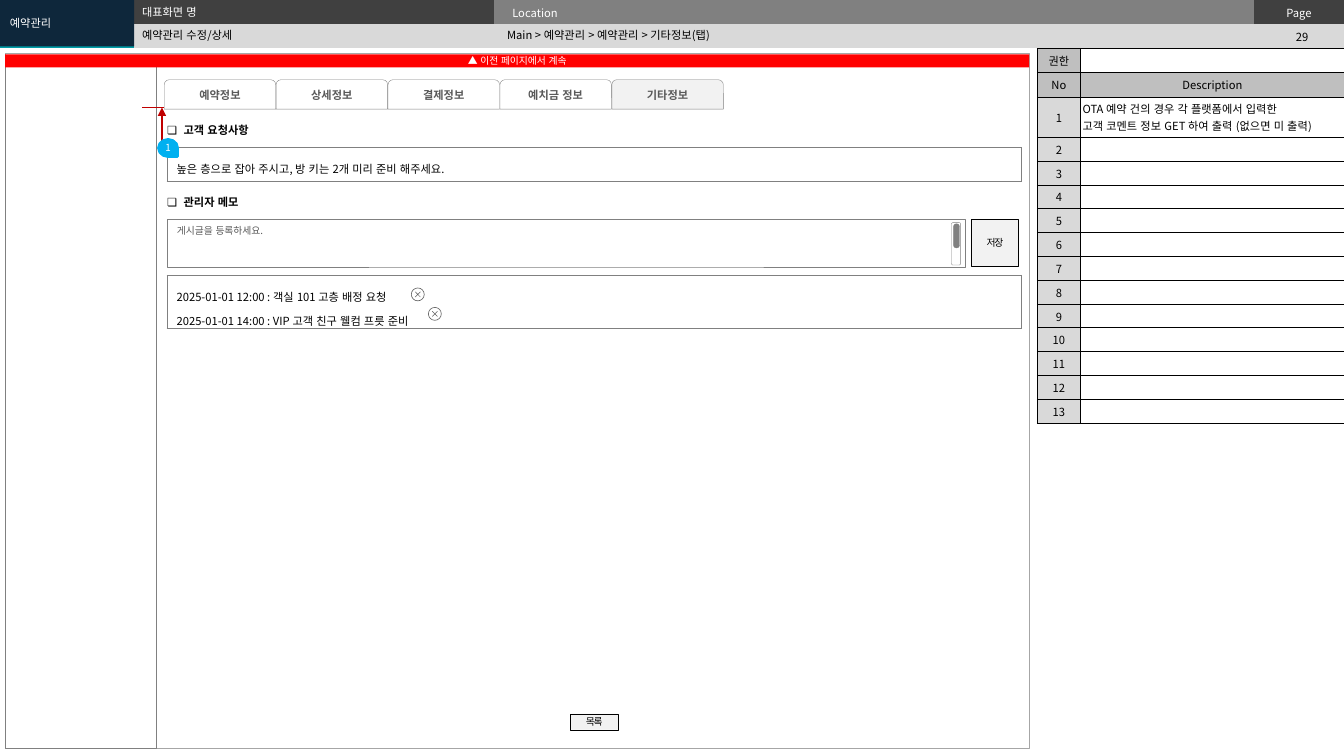
import math

import lxml.etree
import pptx
import pptx.dml.color
import pptx.enum.lang
import pptx.enum.shapes
import pptx.enum.text
import pptx.oxml.ns
import pptx.util

Cm, Pt = pptx.util.Cm, pptx.util.Pt
SHAPE = pptx.enum.shapes.MSO_SHAPE
LEFT, CENTER = pptx.enum.text.PP_ALIGN.LEFT, pptx.enum.text.PP_ALIGN.CENTER
TOP, MIDDLE = pptx.enum.text.MSO_ANCHOR.TOP, pptx.enum.text.MSO_ANCHOR.MIDDLE
KOREAN = pptx.enum.lang.MSO_LANGUAGE_ID.KOREAN
qn = pptx.oxml.ns.qn

FONT = "Noto Sans CJK KR"
COLORS = {
    "black": "000000", "white": "FFFFFF", "navy": "0E273B", "teal": "009CA6",
    "charcoal": "404040", "text": "595959", "icon": "5F5F5F", "gray": "808080",
    "frame": "A6A6A6", "head": "BFBFBF", "number": "D9D9D9", "light": "F2F2F2",
    "banner": "FF0000", "arrow": "C00000", "marker": "00B0F0",
}

# Content; places are left, top, width, height in cm
HEADER = [["", "", "Location", "Page"], [""] * 4]
HEADER_FILLS = [["teal", "charcoal", "gray", "charcoal"], ["teal"] + ["number"] * 3]
HEADER_TEXTS = [
    ("예약관리 수정/상세", (3.33, 0.61, 9.22, 0.56), {"anchor": MIDDLE}),
    ("Main > 예약관리 > 예약관리 > 기타정보(탭)", (12.53, 0.58, 18.75, 0.61), {"anchor": MIDDLE}),
    ("대표화면 명", (3.33, 0, 9.19, 0.56), {"color": "white"}),
    ("29", (31.71, 0.62, 2.21, 0.61), {"align": CENTER, "anchor": MIDDLE}),
]
MENU = "예약관리"
BANNER = "▲ 이전 페이지에서 계속"
TABS = ["예약정보", "상세정보", "결제정보", "예치금 정보", "기타정보"]
SECTIONS = [("❏\t고객 요청사항", 2.97), ("❏\t관리자 메모", 4.8)]
REQUEST = "높은 층으로 잡아 주시고, 방 키는 2개 미리 준비 해주세요."
MEMOS = "2025-01-01 12:00 : 객실 101 고층 배정 요청\n2025-01-01 14:00 : VIP 고객 친구 웰컴 프릇 준비"
MEMO_HINT = "게시글을 등록하세요."
BUTTONS = [("저장", (24.48, 5.52, 1.19, 1.2)), ("목록", (14.38, 17.99, 1.19, 0.4))]
DELETE_ICONS = [(10.53, 7.42), (10.96, 7.91)]
DESCRIPTION = ["OTA 예약 건의 경우 각 플랫폼에서 입력한\n고객 코멘트 정보 GET 하여 출력 (없으면 미 출력)"]
ROW_COUNT = 13

prs = pptx.Presentation()
prs.slide_width, prs.slide_height = Cm(33.87), Cm(19.05)
slide = prs.slides.add_slide(prs.slide_layouts[6])
shapes = slide.shapes


def rgb(name):
    return pptx.dml.color.RGBColor.from_string(COLORS[name])


def paint(sp, fill=None, line=None, width=0.25):
    if fill:
        sp.fill.solid()
        sp.fill.fore_color.rgb = rgb(fill)
    else:
        sp.fill.background()
    if line:
        sp.line.color.rgb = rgb(line)
        sp.line.width = Pt(width)
    else:
        sp.line.fill.background()
    sp.shadow.inherit = False


def write(tf, text, size=8, color="black", bold=False, align=LEFT, spacing=None, tracking=None):
    for i, line in enumerate(text.split("\n")):
        p = tf.add_paragraph() if i else tf.paragraphs[0]
        for key, value in {"alignment": align, "line_spacing": spacing}.items():
            setattr(p, key, value)
        if not line:
            lxml.etree.SubElement(p._p, qn("a:endParaRPr"), sz=str(size * 100))
            continue
        if "\t" in line:
            tabs = lxml.etree.SubElement(p._p.get_or_add_pPr(), qn("a:tabLst"))
            lxml.etree.SubElement(tabs, qn("a:tab"), pos=str(Cm(0.42)), algn="l")
        r = p.add_run()
        r.text = line
        for key, value in {"name": FONT, "size": Pt(size), "bold": bold,
                           "language_id": KOREAN}.items():
            setattr(r.font, key, value)
        r.font.color.rgb = rgb(color)
        rPr = r._r.get_or_add_rPr()
        lxml.etree.SubElement(rPr, qn("a:ea"), typeface=FONT)
        if tracking:
            rPr.set("spc", str(tracking))


def fill_frame(tf, text, anchor=TOP, inset=(0.25, 0.13), **style):
    x, y = map(Cm, inset)
    for key, value in {"word_wrap": True, "vertical_anchor": anchor, "margin_left": x,
                       "margin_right": x, "margin_top": y, "margin_bottom": y}.items():
        setattr(tf, key, value)
    write(tf, text, **style)


def add_text(text, place, **style):
    fill_frame(shapes.add_textbox(*map(Cm, place)).text_frame, text, **style)


def add_box(place, kind=SHAPE.RECTANGLE, text="", fill=None, line=None, width=0.25, **style):
    sp = shapes.add_shape(kind, *map(Cm, place))
    paint(sp, fill, line, width)
    if text:
        fill_frame(sp.text_frame, text, **style)
    return sp


def add_grid(left, top, columns, heights):
    table = shapes.add_table(len(heights), len(columns), Cm(left), Cm(top),
                             Cm(sum(columns)), Cm(sum(heights))).table
    table.first_row = table.horz_banding = False
    for column, width in zip(table.columns, columns):
        column.width = Cm(width)
    for row, height in zip(table.rows, heights):
        row.height = Cm(height)
    return table


def set_cell(cell, text, fill, border=None, width=0.25, inset=(0.25, 0.13), anchor=TOP, **style):
    x, y = map(Cm, inset)
    for key, value in {"margin_left": x, "margin_right": x, "margin_top": y,
                       "margin_bottom": y, "vertical_anchor": anchor}.items():
        setattr(cell, key, value)
    tcPr = cell._tc.get_or_add_tcPr()
    for side in ("lnL", "lnR", "lnT", "lnB"):
        ln = lxml.etree.SubElement(tcPr, qn("a:" + side), w=str(Pt(width)))
        if border:
            solid = lxml.etree.SubElement(ln, qn("a:solidFill"))
            lxml.etree.SubElement(solid, qn("a:srgbClr"), val=COLORS[border])
        else:
            lxml.etree.SubElement(ln, qn("a:noFill"))
    cell.fill.solid()
    cell.fill.fore_color.rgb = rgb(fill)
    write(cell.text_frame, text, **style)


def add_line(start, end, arrow=False):
    c = shapes.add_connector(pptx.enum.shapes.MSO_CONNECTOR.STRAIGHT, *map(Cm, start + end))
    c.line.color.rgb = rgb("arrow")
    c.line.width = Pt(1)
    if arrow:
        lxml.etree.SubElement(c.line._get_or_add_ln(), qn("a:tailEnd"), type="triangle")
    lxml.etree.SubElement(c._element.spPr, qn("a:effectLst"))


def add_delete_icon(cx, cy, radius=0.17):
    """Draw a thin ring around a cross as one outline."""
    def circle(r):
        return [(r * math.cos(a * math.pi / 8), r * math.sin(a * math.pi / 8)) for a in range(16)]

    arm, half = 0.55, 0.04
    cross = []
    for k in range(4):
        c, s = math.cos(math.pi * (k / 2 + 0.25)), math.sin(math.pi * (k / 2 + 0.25))
        cross += [(x * c - y * s, x * s + y * c) for x, y in ((arm, -half), (arm, half), (half, half))]
    builder = None
    for contour in (circle(1), circle(0.91), cross):
        points = [(Cm(cx + radius * x), Cm(cy + radius * y)) for x, y in contour]
        if builder is None:
            builder = shapes.build_freeform(*points[0])
        else:
            builder.move_to(*points[0])
        builder.add_line_segments(points[1:], close=True)
    paint(builder.convert_to_shape(), "icon")


# Page header
header = add_grid(0, 0, (3.38, 9.07, 19.15, 2.27), (0.6, 0.6))
for row, (texts, fills) in enumerate(zip(HEADER, HEADER_FILLS)):
    for col, (text, fill) in enumerate(zip(texts, fills)):
        set_cell(header.cell(row, col), text, fill, inset=(0.46, 0.1), color="white",
                 align=CENTER if text == "Page" else LEFT)
header.cell(0, 0).merge(header.cell(1, 0))
add_box((0.13, 1.35, 25.81, 17.5), line="frame")
for text, place, style in HEADER_TEXTS:
    add_text(text, place, **style)
add_box((0, 0, 3.38, 1.17), text=MENU, fill="navy", color="white", anchor=MIDDLE)
add_box((0.13, 1.4, 3.81, 17.45), line="gray")

# Description table
grid = add_grid(26.14, 1.22, (1.09, 6.65), [0.61, 0.61, 1.02] + [0.6] * (ROW_COUNT - 1))
rows = [("권한", "", "head", "white"), ("No", "Description", "head", "head")]
for n in range(ROW_COUNT):
    rows.append((str(n + 1), DESCRIPTION[n] if n < len(DESCRIPTION) else "", "number", "white"))
for row, (label, text, label_fill, text_fill) in enumerate(rows):
    edge = {"border": "black", "width": 0.5, "inset": (0.05, 0.1)}
    set_cell(grid.cell(row, 0), label, label_fill, align=CENTER, anchor=MIDDLE, **edge)
    set_cell(grid.cell(row, 1), text, text_fill, align=CENTER if row == 1 else LEFT, **edge)

# Screen body
add_box((0.13, 1.37, 25.81, 0.33), text=BANNER, fill="banner", size=7, color="white",
        align=CENTER, anchor=MIDDLE)
for text, top in SECTIONS:
    add_text(text, (3.96, top, 8.56, 0.61), bold=True)
for text, top, height, anchor in ((REQUEST, 3.71, 0.86, TOP), (MEMOS, 6.93, 1.35, MIDDLE)):
    set_cell(add_grid(4.2, top, [21.53], [height]).cell(0, 0), text, "white", "gray",
             anchor=anchor, spacing=1.5)
add_box((4.21, 5.53, 20.12, 1.2), text=MEMO_HINT, line="gray", size=7, color="text")
for text, place in BUTTONS:
    add_box(place, text=text, fill="light", line="black", size=7, align=CENTER,
            anchor=MIDDLE, inset=(0, 0), tracking=-90)
add_box((23.98, 5.61, 0.23, 1.07), SHAPE.ROUNDED_RECTANGLE, line="gray")
thumb = add_box((24.03, 5.64, 0.15, 0.61), SHAPE.ROUNDED_RECTANGLE, fill="gray", line="gray")
thumb.adjustments[0] = 0.5
for center in DELETE_ICONS:
    add_delete_icon(*center)

# Callout and tabs
add_line((4.57, 2.71), (3.58, 2.71))
add_line((4.08, 3.76), (4.08, 2.71), arrow=True)
for i, text in enumerate(TABS):
    add_box((4.14 + i * 2.82, 2.01, 2.81, 0.74), SHAPE.ROUND_2_SAME_RECTANGLE, text,
            "light" if i == len(TABS) - 1 else "white", "gray", color="text", bold=True,
            align=CENTER, anchor=MIDDLE)
marker = add_box((4.02, 3.49, 0.43, 0.48), SHAPE.TEAR, "1", "marker", "marker", 2, size=7,
                 color="white", align=CENTER, anchor=MIDDLE, inset=(0, 0))
marker.rotation = 90
marker.text_frame._txBody.bodyPr.set("vert", "vert270")

prs.save("out.pptx")
